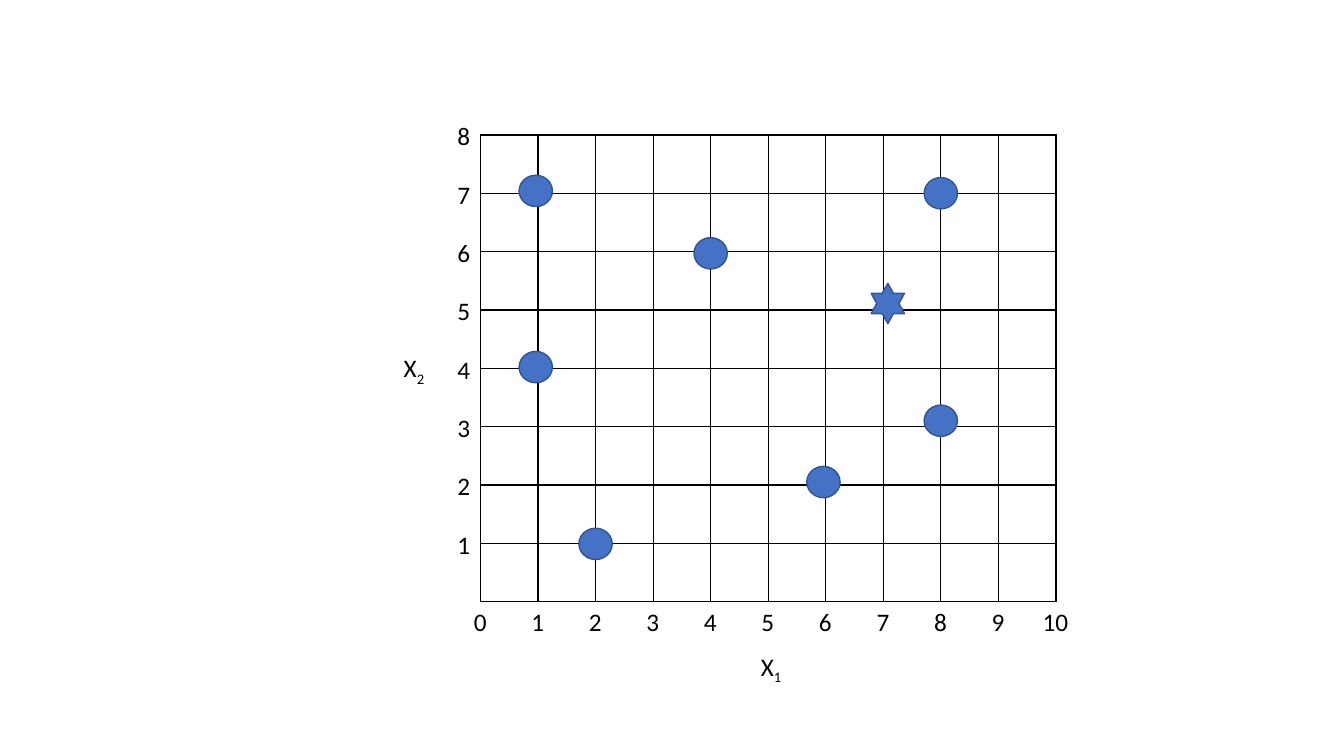
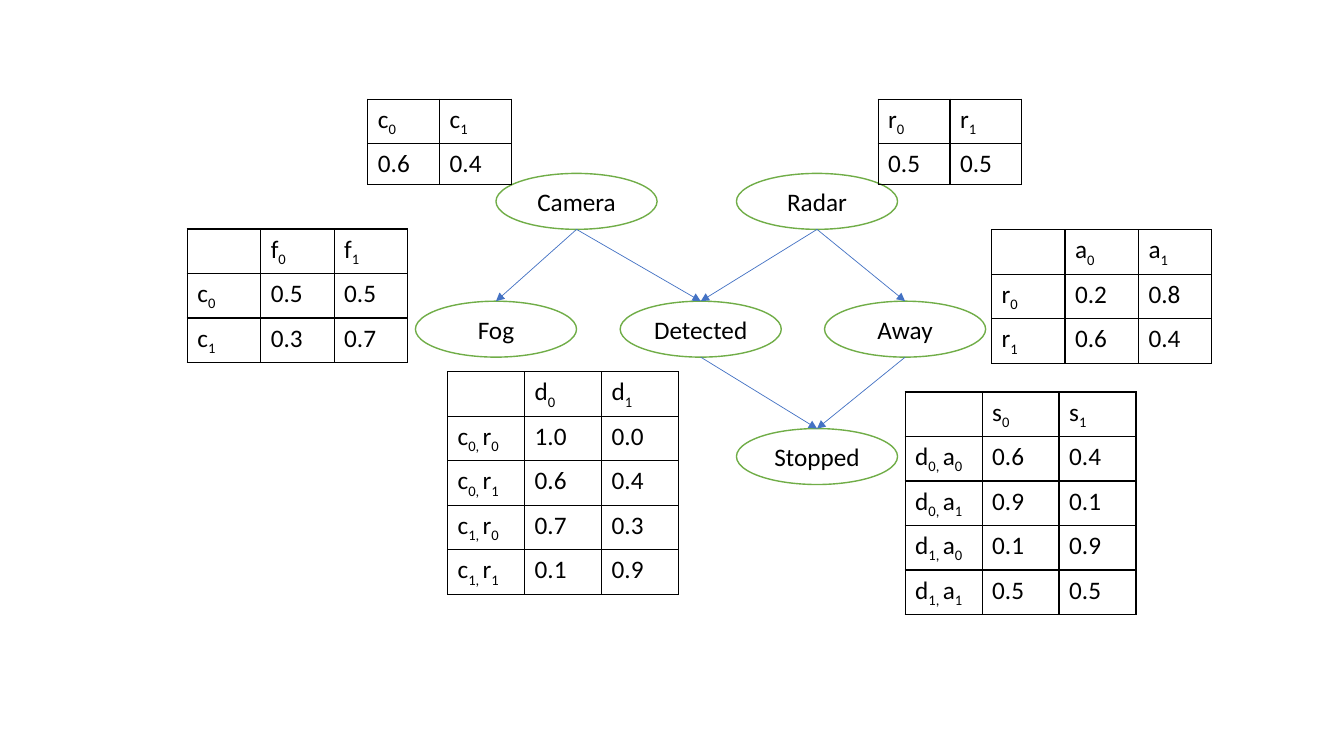
from dataclasses import dataclass

from lxml import etree
from pptx import Presentation
from pptx.dml.color import RGBColor
from pptx.enum.shapes import MSO_CONNECTOR, MSO_SHAPE
from pptx.enum.text import MSO_ANCHOR, MSO_AUTO_SIZE, PP_ALIGN
from pptx.oxml.ns import qn
from pptx.shapes.autoshape import Shape
from pptx.slide import Slide
from pptx.table import Table
from pptx.text.text import TextFrame
from pptx.util import Cm, Pt

OVAL = MSO_SHAPE.OVAL
STAR = MSO_SHAPE.STAR_6_POINT
LINE = MSO_CONNECTOR.STRAIGHT
GROW = MSO_AUTO_SIZE.SHAPE_TO_FIT_TEXT
MIDDLE = MSO_ANCHOR.MIDDLE
CENTER = PP_ALIGN.CENTER

BLACK = RGBColor(0x00, 0x00, 0x00)
WHITE = RGBColor(0xFF, 0xFF, 0xFF)
BLUE = RGBColor(0x44, 0x72, 0xC4)
NAVY = RGBColor(0x32, 0x54, 0x91)
GREEN = RGBColor(0x70, 0xAD, 0x47)
FONT = "Calibri"
SIZE = Pt(18)

# Plot grid, in centimetres
COLS, ROWS = 10, 8
LEFT, TOP = 12.11, 3.4
STEP_X, STEP_Y = 1.45, 1.47
BASE = TOP + ROWS * STEP_Y
TEXT_H = 1.03

# Network nodes, in centimetres
NODE_W, NODE_H = 4.06, 1.41
ROW_H = 1.03


@dataclass(frozen=True)
class Mark:
    """A point on the plot, in axis units."""
    x: float
    y: float
    kind: MSO_SHAPE = OVAL
    high: float = 0.79


@dataclass(frozen=True)
class Node:
    """A network node, by top centre."""
    name: str
    x: float
    y: float


@dataclass(frozen=True)
class Odds:
    """A table of chances; an underscore toggles subscript."""
    x: float
    y: float
    col: float
    rows: tuple[str, ...]


MARKS = (
    Mark(0.96, 7.04), Mark(0.96, 4.02), Mark(8, 7), Mark(4, 5.97),
    Mark(5.96, 2.05), Mark(2, 0.99), Mark(8, 3.1),
    Mark(7.08, 5.11, STAR, 1.02),
)

CAMERA = Node("Camera", 14.53, 4.37)
RADAR = Node("Radar", 20.59, 4.37)
FOUND = Node("Detected", 17.66, 7.59)
AWAY = Node("Away", 22.81, 7.59)
FOG = Node("Fog", 12.5, 7.59)
STOP = Node("Stopped", 20.59, 10.8)
NODES = (CAMERA, RADAR, FOUND, AWAY, FOG, STOP)
EDGES = (
    (CAMERA, FOUND), (RADAR, FOUND), (CAMERA, FOG),
    (FOUND, STOP), (AWAY, STOP), (RADAR, AWAY),
)

TABLES = (
    Odds(9.27, 2.5, 1.81, ("c_0|c_1", "0.6|0.4")),
    Odds(22.13, 2.5, 1.81, ("r_0|r_1", "0.5|0.5")),
    Odds(4.72, 5.77, 1.85, ("|f_0|f_1", "c_0|0.5|0.5", "c_1|0.3|0.7")),
    Odds(11.28, 9.37, 1.94, (
        "|d_0|d_1", "c_0, _r_0|1.0|0.0", "c_0, _r_1|0.6|0.4",
        "c_1, _r_0|0.7|0.3", "c_1, _r_1|0.1|0.9")),
    Odds(24.99, 5.79, 1.85, ("|a_0|a_1", "r_0|0.2|0.8", "r_1|0.6|0.4")),
    Odds(22.81, 9.88, 1.94, (
        "|s_0|s_1", "d_0, _a_0|0.6|0.4", "d_0, _a_1|0.9|0.1",
        "d_1, _a_0|0.1|0.9", "d_1, _a_1|0.5|0.5")),
)


def write(frame: TextFrame, text: str) -> None:
    """Write text, with every second part between underscores lowered."""
    para = frame.paragraphs[0]
    para.font.name = FONT
    para.font.size = SIZE
    para.font.color.rgb = BLACK
    if not text:
        return
    for i, part in enumerate(text.split("_")):
        run = para.add_run()
        run.text = part
        if i % 2:
            run._r.get_or_add_rPr().set("baseline", "-25000")


def add_label(slide: Slide, text: str, x: float, y: float,
              wide: float) -> None:
    """Add a text box centred at x, y."""
    box = slide.shapes.add_textbox(Cm(x - wide / 2), Cm(y - TEXT_H / 2),
                                   Cm(wide), Cm(TEXT_H))
    frame = box.text_frame
    frame.word_wrap = "_" in text
    frame.auto_size = GROW
    write(frame, text)


def add_form(slide: Slide, kind: MSO_SHAPE, x: float, y: float, wide: float,
             high: float, fill: RGBColor, edge: RGBColor) -> Shape:
    """Add a flat shape with its top centre at x, y."""
    form = slide.shapes.add_shape(kind, Cm(x - wide / 2), Cm(y),
                                  Cm(wide), Cm(high))
    form.shadow.inherit = False
    form.fill.solid()
    form.fill.fore_color.rgb = fill
    form.line.color.rgb = edge
    form.line.width = Pt(1)
    return form


def add_table(slide: Slide, x: float, y: float, cols: int, rows: int,
              wide: float, high: float) -> Table:
    """Add a plain table of equal cells with black borders."""
    table = slide.shapes.add_table(rows, cols, Cm(x), Cm(y), Cm(wide * cols),
                                   Cm(high * rows)).table
    table.first_row = False
    table.horz_banding = False
    for cell in table.iter_cells():
        props = cell._tc.get_or_add_tcPr()
        for side in ("lnL", "lnR", "lnT", "lnB"):
            line = etree.SubElement(props, qn(f"a:{side}"), w=str(Pt(1)))
            fill = etree.SubElement(line, qn("a:solidFill"))
            etree.SubElement(fill, qn("a:srgbClr"), val=str(BLACK))
        cell.fill.background()
    return table


def add_arrow(slide: Slide, start: Node, end: Node) -> None:
    """Draw an arrow from the foot of one node to the top of the next."""
    arrow = slide.shapes.add_connector(
        LINE, Cm(start.x), Cm(start.y + NODE_H), Cm(end.x), Cm(end.y))
    arrow.line.color.rgb = BLUE
    arrow.line.width = Pt(0.5)
    props = arrow.element.spPr
    etree.SubElement(props.find(qn("a:ln")), qn("a:tailEnd"),
                     type="triangle")
    etree.SubElement(props, qn("a:effectLst"))


def draw_plot(slide: Slide) -> None:
    """Draw the grid, its axis labels and its points."""
    add_table(slide, LEFT, TOP, COLS, ROWS, STEP_X, STEP_Y)
    for i in range(COLS + 1):
        add_label(slide, str(i), LEFT + i * STEP_X, 15.68,
                  0.84 if i < 10 else 1.17)
    for i in range(1, ROWS + 1):
        add_label(slide, str(i), 11.7, BASE - i * STEP_Y + 0.03, 0.84)
    for mark in MARKS:
        add_form(slide, mark.kind, LEFT + mark.x * STEP_X,
                 BASE - mark.y * STEP_Y - mark.high / 2,
                 0.84, mark.high, BLUE, NAVY)
    add_label(slide, "X_2", 10.6, 9.28, 1.35)
    add_label(slide, "X_1", 19.6, 16.8, 1.35)


def draw_net(slide: Slide) -> None:
    """Draw the nodes, their arrows and the tables of chances."""
    for node in NODES:
        form = add_form(slide, OVAL, node.x, node.y, NODE_W, NODE_H,
                        WHITE, GREEN)
        frame = form.text_frame
        frame.vertical_anchor = MIDDLE
        frame.paragraphs[0].alignment = CENTER
        write(frame, node.name)
    for start, end in EDGES:
        add_arrow(slide, start, end)
    for odds in TABLES:
        grid = [row.split("|") for row in odds.rows]
        table = add_table(slide, odds.x, odds.y, len(grid[0]), len(grid),
                          odds.col, ROW_H)
        for r, row in enumerate(grid):
            for c, text in enumerate(row):
                write(table.cell(r, c).text_frame, text)


def main() -> None:
    """Build and save both slides."""
    deck = Presentation()
    deck.slide_width, deck.slide_height = Cm(33.87), Cm(19.05)
    blank = deck.slide_layouts[6]
    for draw in (draw_plot, draw_net):
        draw(deck.slides.add_slide(blank))
    deck.save("out.pptx")


main()
